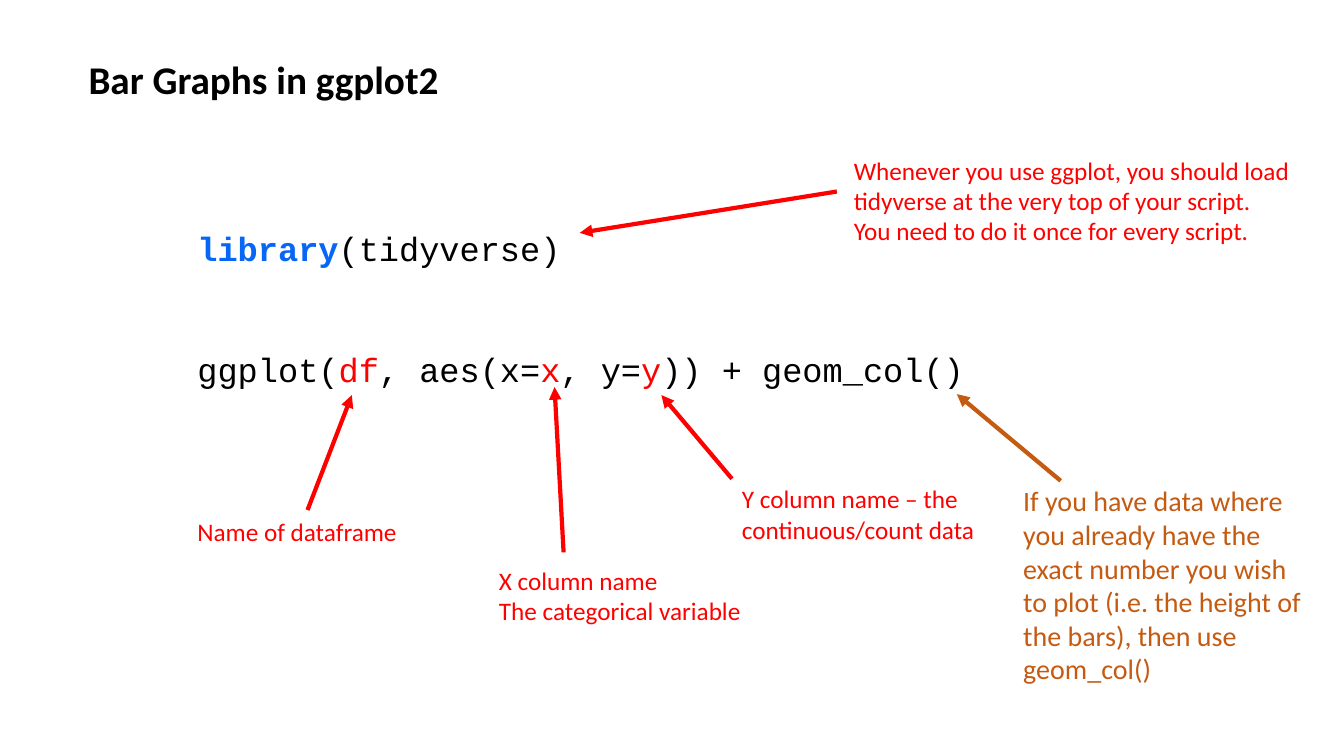
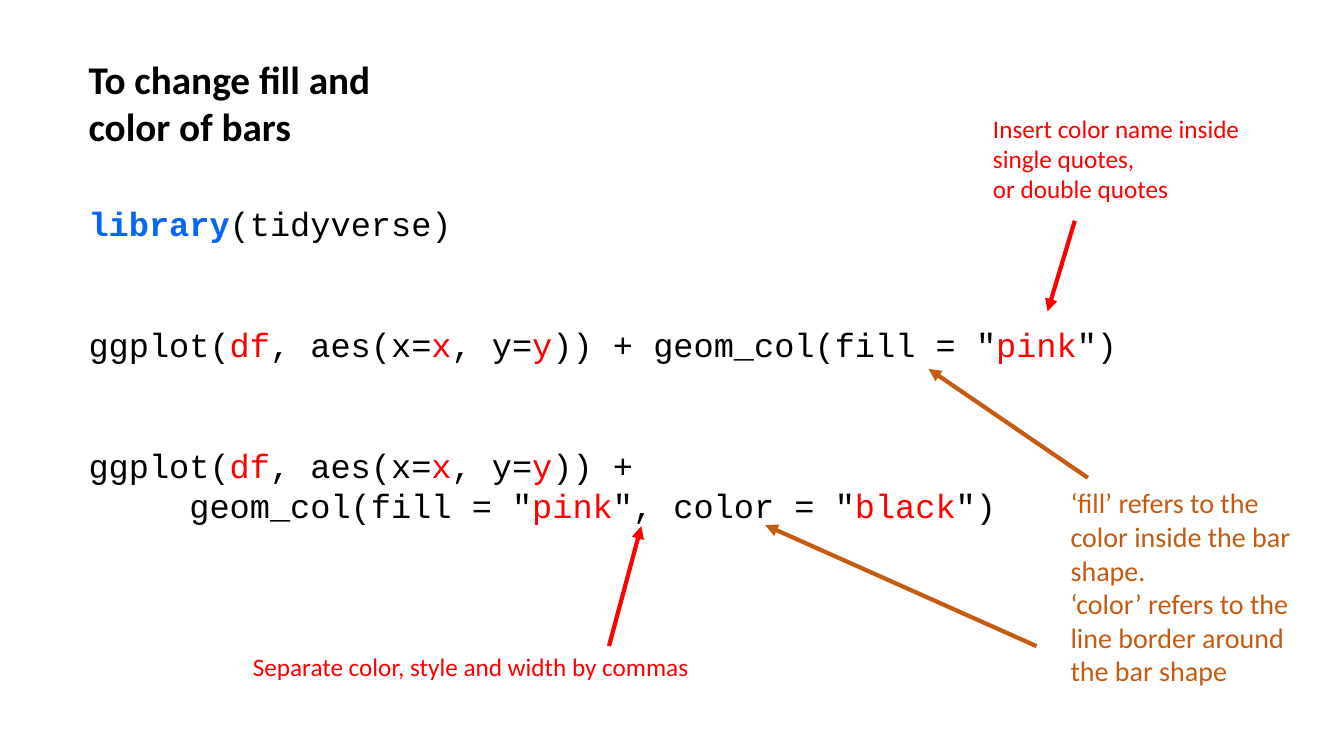
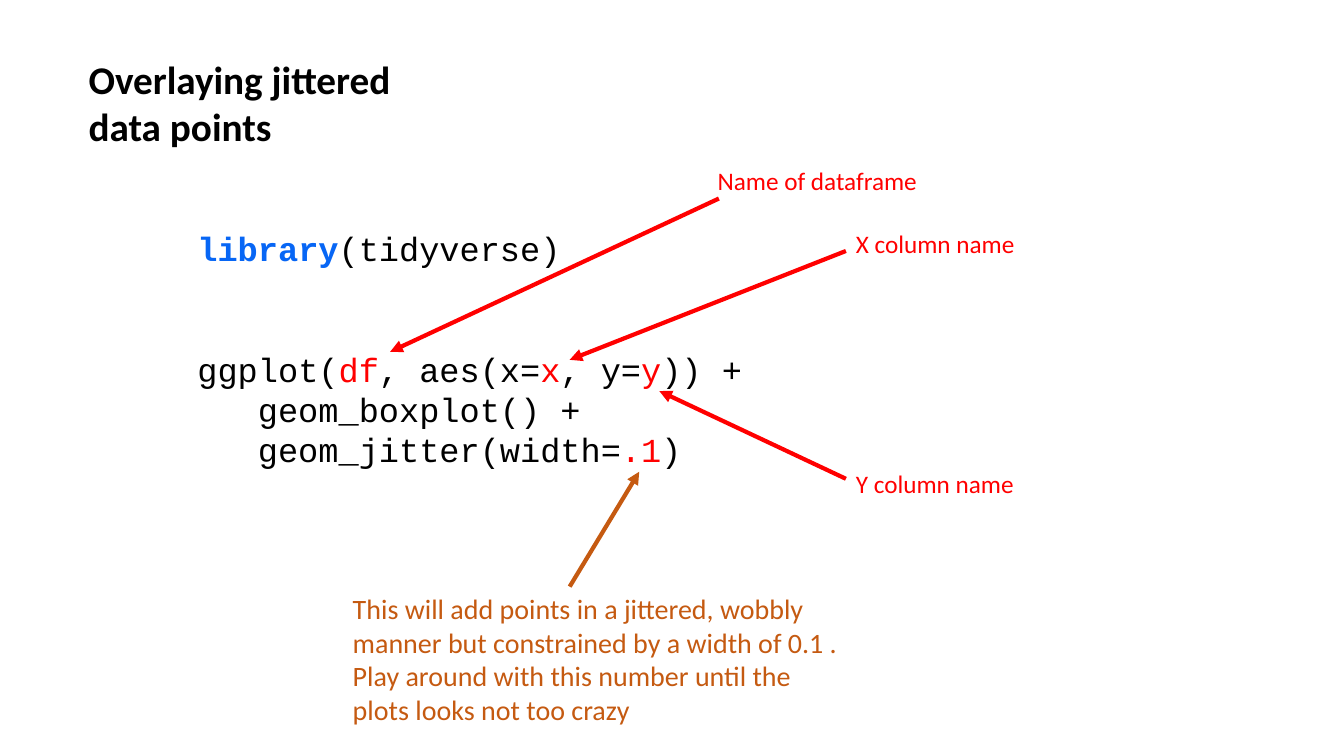
from dataclasses import dataclass

from lxml.etree import SubElement
from pptx import Presentation
from pptx.dml.color import RGBColor
from pptx.enum.shapes import MSO_CONNECTOR
from pptx.enum.text import MSO_AUTO_SIZE
from pptx.oxml.ns import qn
from pptx.util import Emu, Pt

SCALE = 9144


def px(n):
    return Emu(n * SCALE)


@dataclass(frozen=True)
class Theme:
    ink: str = "000000"
    key: str = "0766F5"
    red: str = "FF0000"
    rust: str = "C55A11"
    sans: str = "Calibri"
    mono: str = "Courier New"
    head: int = 28
    code: int = 24
    note: int = 18
    tip: int = 20
    line: int = 3
    pitch: float = 28.8
    char: float = 14.4


class Deck:
    def __init__(self, theme):
        self.theme = theme
        self.file = Presentation()
        self.file.slide_width = px(1333)
        self.file.slide_height = px(750)
        self.slide = None

    def page(self, title):
        self.slide = self.file.slides.add_slide(self.file.slide_layouts[6])
        style = self.theme
        self.label([title], 78, 50, 371, 57, style.head, style.ink, wrap=False, bold=True)

    def frame(self, left, top, width, height, wrap=True):
        box = self.slide.shapes.add_textbox(px(left), px(top), px(width), px(height))
        frame = box.text_frame
        frame.word_wrap = wrap
        frame.auto_size = MSO_AUTO_SIZE.SHAPE_TO_FIT_TEXT
        return frame

    def font(self, run, name, size, color, bold=False):
        run.font.name = name
        run.font.size = Pt(size)
        run.font.bold = bold
        run.font.color.rgb = RGBColor.from_string(color)

    def label(self, lines, left, top, width, height, size, color, wrap=True, bold=False):
        frame = self.frame(left, top, width, height, wrap)
        frame.text = "\n".join(lines)
        for para in frame.paragraphs:
            for run in para.runs:
                self.font(run, self.theme.sans, size, color, bold)

    def note(self, lines, left, top, width, height, wrap=False):
        self.label(lines, left, top, width, height, self.theme.note, self.theme.red, wrap)

    def tip(self, lines, left, top, width, height):
        self.label(lines, left, top, width, height, self.theme.tip, self.theme.rust)

    def row(self, para, parts, gap=0, indent=0):
        style = self.theme
        para.line_spacing = Pt(style.pitch)
        para.space_before = Pt(gap * style.pitch)
        if indent:
            para._p.get_or_add_pPr().set("marL", str(Pt(indent * style.char)))
        for text, color, bold in parts:
            run = para.add_run()
            run.text = text
            self.font(run, style.mono, style.code, color, bold)

    def code(self, rows, left, top, width, height):
        style = self.theme
        frame = self.frame(left, top, width, height)
        start = [("library", style.key, True), ("(tidyverse)", style.ink, False)]
        self.row(frame.paragraphs[0], start)
        for text, gap, indent in rows:
            parts = [(bit, style.red if i % 2 else style.ink, False)
                     for i, bit in enumerate(text.split("|"))]
            self.row(frame.add_paragraph(), parts, gap, indent)

    def arrow(self, x1, y1, x2, y2, color=None):
        link = self.slide.shapes.add_connector(
            MSO_CONNECTOR.STRAIGHT, px(x1), px(y1), px(x2), px(y2))
        link.line.color.rgb = RGBColor.from_string(color or self.theme.red)
        link.line.width = Pt(self.theme.line)
        SubElement(link.line._get_or_add_ln(), qn("a:tailEnd"), type="triangle")
        SubElement(link._element.spPr, qn("a:effectLst"))


PLOT = "ggplot(|df|, aes(x=|x|, y=|y|)) +"


def bars(deck):
    deck.page("Bar Graphs in ggplot2")
    deck.code([(PLOT + " geom_col()", 2, 0)], 186, 221, 957, 172)
    deck.arrow(305, 506, 349, 392)
    deck.arrow(559, 548, 550, 384)
    deck.arrow(726, 475, 656, 392)
    deck.note(["Name of dataframe"], 186, 507, 220, 40)
    deck.note(["Y column name – the continuous/count data"], 726, 475, 360, 73, wrap=True)
    deck.note(["X column name", "The categorical variable"], 485, 556, 263, 71)
    deck.arrow(830, 190, 575, 231)
    deck.note(["Whenever you use ggplot, you should load tidyverse at the very top "
               "of your script. You need to do it once for every script."],
              837, 149, 453, 131, wrap=True)
    deck.arrow(1052, 477, 949, 391, deck.theme.rust)
    deck.tip(["If you have data where you already have the exact number you wish "
              "to plot (i.e. the height of the bars), then use geom_col()"],
             1005, 475, 303, 212)


def fills(deck):
    deck.page("To change fill and color of bars")
    deck.code([
        (PLOT + ' geom_col(fill = "|pink|")', 2, 0),
        (PLOT, 2, 0),
        ('geom_col(fill = "|pink|", color = "|black|")', 0, 5),
    ], 78, 196, 1087, 414)
    deck.arrow(1066, 219, 1039, 309)
    deck.note(["Insert color name inside single quotes,", "or double quotes"],
              975, 107, 328, 101, wrap=True)
    deck.note(["Separate color, style and width by commas"], 241, 641, 457, 40)
    deck.arrow(604, 641, 636, 522)
    deck.arrow(1079, 474, 921, 366, deck.theme.rust)
    deck.tip(["‘fill’ refers to the color inside the bar shape.",
              "‘color’ refers to the line border around the bar shape"],
             1052, 477, 256, 212)
    deck.arrow(1028, 641, 759, 521, deck.theme.rust)


def jitter(deck):
    deck.page("Overlaying jittered data points")
    deck.code([
        (PLOT, 2, 0),
        ("geom_boxplot() +", 0, 3),
        ("geom_jitter(width=|.1|)", 0, 3),
    ], 186, 221, 957, 252)
    deck.arrow(713, 197, 387, 349)
    deck.arrow(839, 249, 565, 357)
    deck.arrow(839, 475, 654, 388)
    deck.note(["Name of dataframe"], 702, 159, 220, 40)
    deck.note(["Y column name"], 839, 460, 179, 40)
    deck.note(["X column name"], 839, 222, 179, 40)
    deck.tip(["This will add points in a jittered, wobbly manner but constrained by "
              "a width of 0.1 . Play around with this number until the plots looks "
              "not too crazy"], 340, 582, 509, 145)
    deck.arrow(565, 582, 634, 468, deck.theme.rust)


def main():
    deck = Deck(Theme())
    for build in (bars, fills, jitter):
        build(deck)
    deck.file.save("out.pptx")


if __name__ == "__main__":
    main()
